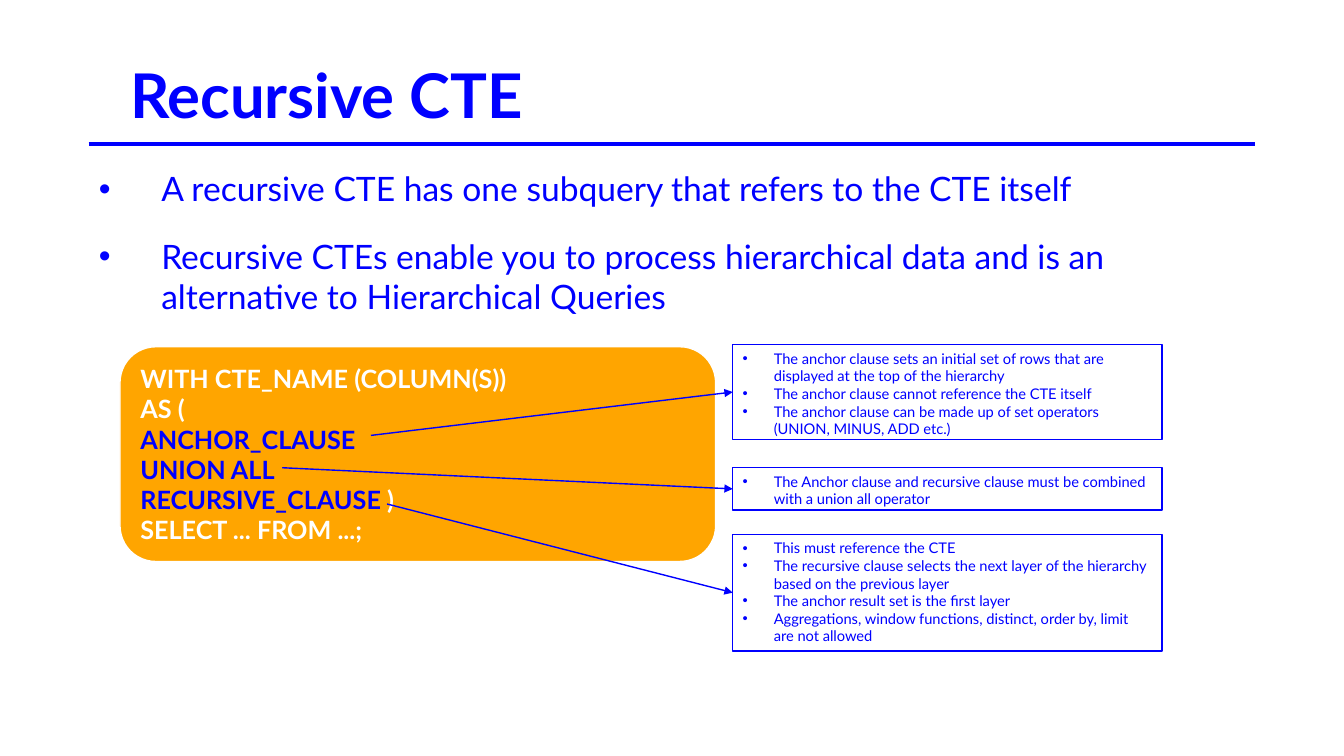
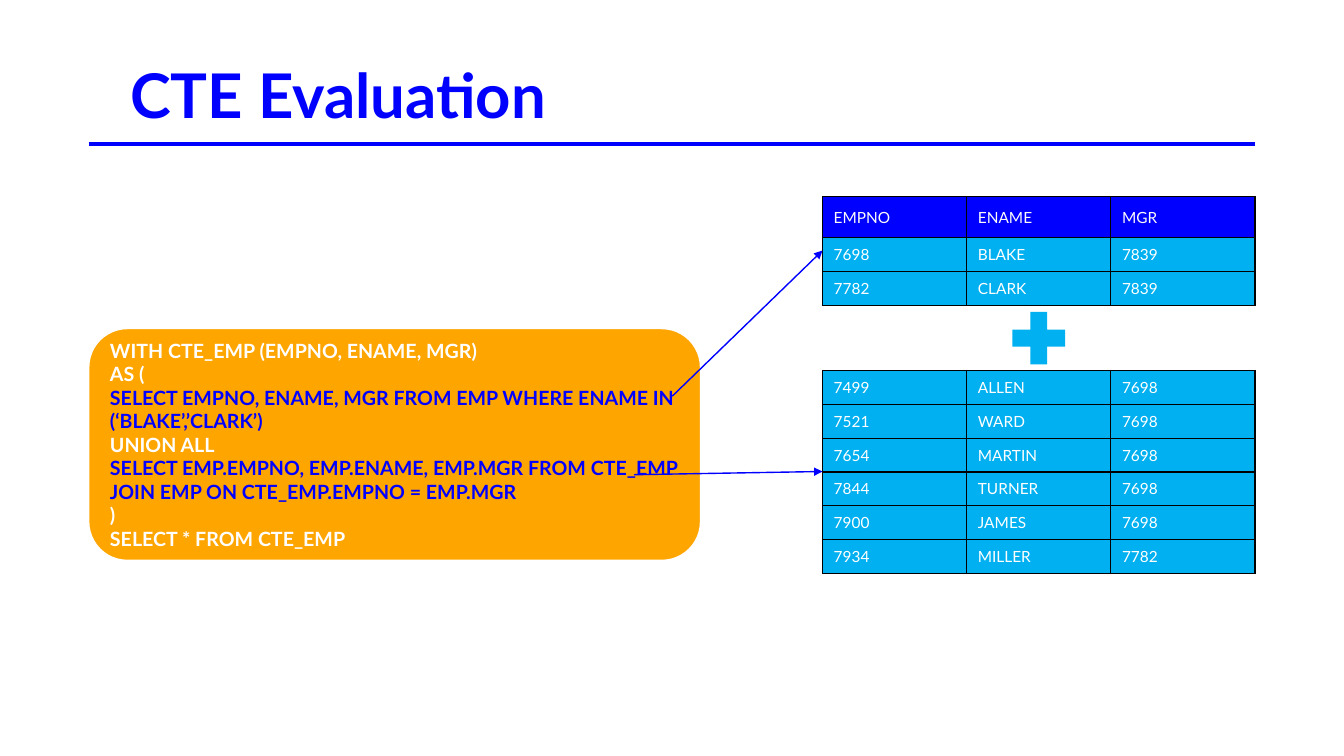
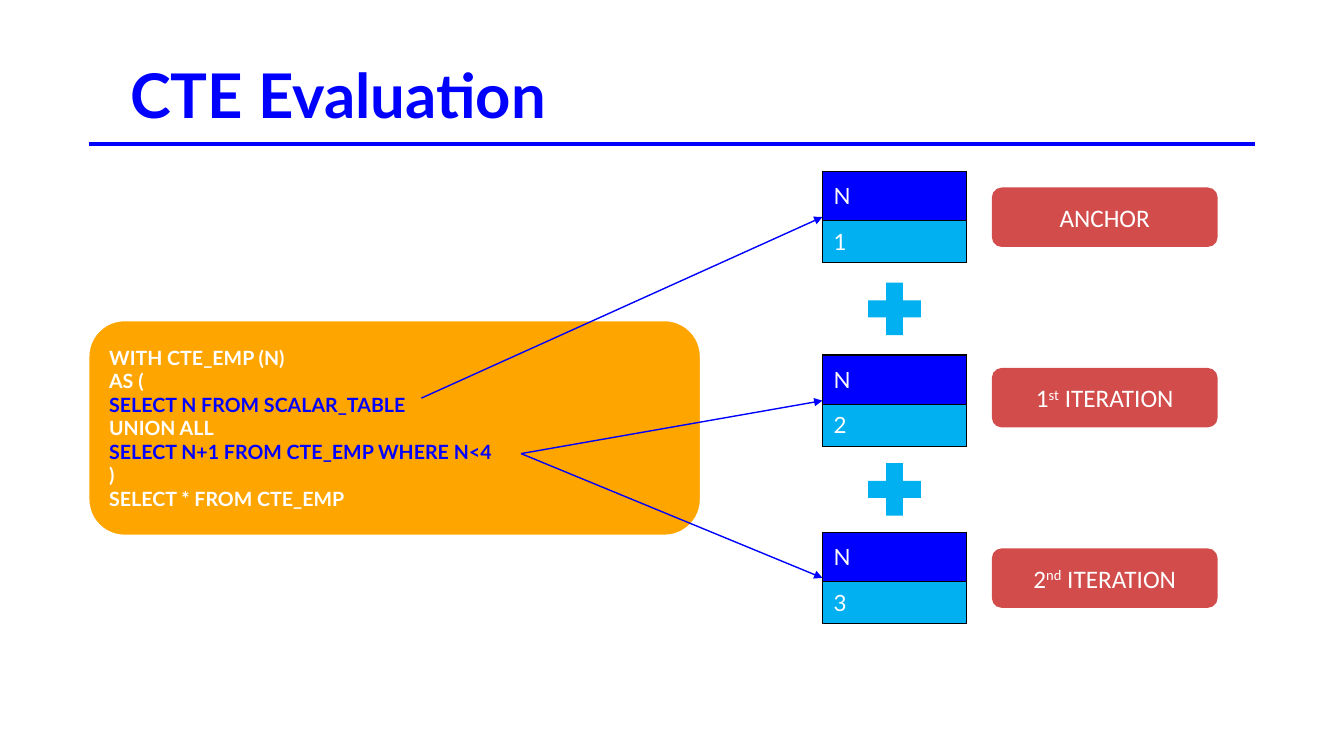
from dataclasses import dataclass
from typing import Optional, Sequence

from lxml import etree
from pptx import Presentation
from pptx.dml.color import RGBColor
from pptx.enum.shapes import MSO_CONNECTOR, MSO_SHAPE
from pptx.enum.text import MSO_ANCHOR, MSO_AUTO_SIZE, PP_ALIGN
from pptx.oxml.ns import qn
from pptx.shapes.autoshape import Shape
from pptx.shapes.connector import Connector
from pptx.slide import Slide
from pptx.table import _Cell
from pptx.text.text import TextFrame
from pptx.util import Pt

STRAIGHT = MSO_CONNECTOR.STRAIGHT
RECTANGLE, ROUNDED = MSO_SHAPE.RECTANGLE, MSO_SHAPE.ROUNDED_RECTANGLE
PLUS = MSO_SHAPE.MATH_PLUS
TOP, MIDDLE = MSO_ANCHOR.TOP, MSO_ANCHOR.MIDDLE
LEFT, CENTER = PP_ALIGN.LEFT, PP_ALIGN.CENTER
NO_AUTOFIT = MSO_AUTO_SIZE.NONE
TWO_CONTENT_LAYOUT, TITLE_ONLY_LAYOUT = 3, 5


# Shared look
@dataclass(frozen=True)
class Theme:
    blue: str = "0000FF"
    orange: str = "FFA500"
    cyan: str = "00B0F0"
    red: str = "C00000"
    white: str = "FFFFFF"
    off_white: str = "FCFBFA"
    black: str = "000000"
    font: str = "Lato"
    badge_font: str = "Calibri"
    title_size: float = 44
    body_size: float = 24
    syntax_size: float = 18
    query_size: float = 14
    note_size: float = 10.5
    rows_size: float = 11
    number_size: float = 16
    badge_size: float = 18
    line_height: float = 1.2


THEME = Theme()


@dataclass(frozen=True)
class Box:
    left: float
    top: float
    width: float
    height: float

    @property
    def left_middle(self) -> tuple[float, float]:
        return self.left, self.top + self.height / 2

    def lengths(self) -> tuple[Pt, Pt, Pt, Pt]:
        return Pt(self.left), Pt(self.top), Pt(self.width), Pt(self.height)


@dataclass(frozen=True)
class Piece:
    text: str
    color: Optional[str] = None
    superscript: bool = False


@dataclass(frozen=True)
class Note:
    box: Box
    lines: Sequence[str]
    arrow_start: tuple[float, float]


@dataclass(frozen=True)
class Iteration:
    table_top: float
    number: str
    label: Sequence[Piece]
    arrow_start: tuple[float, float]


Line = str | Sequence[Piece]

# Shared places
TITLE_BOX = Box(85.7, 36.7, 784, 55.4)
RULE_LEFT, RULE_RIGHT, RULE_TOP = 63.4, 896.4, 103
TABLE_LEFT, COLUMN_WIDTH = 587.5, 103
CELL_INSET, ROW_INSET = 8, 5.4
PLUS_SIZE = 51.1


# Text and colour
def color_of(code: str) -> RGBColor:
    return RGBColor.from_string(code)


def blue(text: str) -> list[Piece]:
    return [Piece(text, THEME.blue)]


def write_text(frame: TextFrame, lines: Sequence[Line], *, size: float,
               color: str, font: str = THEME.font, bold: bool = False,
               align: PP_ALIGN = LEFT, anchor: MSO_ANCHOR = TOP,
               bullet_indent: float = 0) -> None:
    frame.word_wrap = True
    frame.auto_size = NO_AUTOFIT
    frame.vertical_anchor = anchor
    for index, line in enumerate(lines):
        paragraph = frame.add_paragraph() if index else frame.paragraphs[0]
        paragraph.alignment = align
        paragraph.line_spacing = 1.0
        paragraph.space_before = Pt(0)
        if bullet_indent:
            properties = paragraph._p.get_or_add_pPr()
            properties.set("marL", str(Pt(bullet_indent)))
            properties.set("indent", str(-Pt(bullet_indent)))
            etree.SubElement(properties, qn("a:buFont"), typeface="Arial")
            etree.SubElement(properties, qn("a:buChar"), char="•")
        for piece in [Piece(line)] if isinstance(line, str) else line:
            run = paragraph.add_run()
            run.text = piece.text
            run.font.name = font
            run.font.size = Pt(size)
            run.font.bold = bold
            run.font.color.rgb = color_of(piece.color or color)
            if piece.superscript:
                run._r.get_or_add_rPr().set("baseline", "30000")


# Shapes
def add_box(slide: Slide, preset: MSO_SHAPE, box: Box, *,
            fill: Optional[str] = None, line: Optional[str] = None,
            opacity: int = 100) -> Shape:
    shape = slide.shapes.add_shape(preset, *box.lengths())
    shape.shadow.inherit = False
    if fill:
        shape.fill.solid()
        shape.fill.fore_color.rgb = color_of(fill)
    else:
        shape.fill.background()
    if opacity < 100:
        color_node = shape.element.spPr.find(f"{qn('a:solidFill')}/{qn('a:srgbClr')}")
        etree.SubElement(color_node, qn("a:alpha"), val=str(opacity * 1000))
    if line:
        shape.line.color.rgb = color_of(line)
        shape.line.width = Pt(1)
    else:
        shape.line.fill.background()
    return shape


def add_line(slide: Slide, start: tuple[float, float], end: tuple[float, float],
             *, width: float = 1) -> Connector:
    points = [Pt(value) for value in (*start, *end)]
    connector = slide.shapes.add_connector(STRAIGHT, *points)
    connector.line.width = Pt(width)
    connector.line.color.rgb = color_of(THEME.blue)
    etree.SubElement(connector.element.spPr, qn("a:effectLst"))
    return connector


def add_arrow(slide: Slide, start: tuple[float, float], target: Box) -> None:
    connector = add_line(slide, start, target.left_middle)
    outline = connector.element.spPr.find(qn("a:ln"))
    etree.SubElement(outline, qn("a:tailEnd"), type="triangle")


def add_code(slide: Slide, box: Box, lines: Sequence[Line], size: float) -> None:
    shape = add_box(slide, ROUNDED, box, fill=THEME.orange, line=THEME.white)
    write_text(shape.text_frame, lines, size=size, color=THEME.white,
               bold=True, anchor=MIDDLE)


def add_plus(slide: Slide, left: float, top: float) -> None:
    add_box(slide, PLUS, Box(left, top, PLUS_SIZE, PLUS_SIZE), fill=THEME.cyan)


# Tables
def format_cell(cell: _Cell, text: str, size: float, header: bool) -> None:
    properties = cell._tc.get_or_add_tcPr()
    for side in ("a:lnL", "a:lnR", "a:lnT", "a:lnB"):
        border = etree.SubElement(properties, qn(side), w=str(Pt(1)))
        border_fill = etree.SubElement(border, qn("a:solidFill"))
        etree.SubElement(border_fill, qn("a:srgbClr"), val=THEME.black)
    cell.fill.solid()
    cell.fill.fore_color.rgb = color_of(THEME.blue if header else THEME.cyan)
    cell.margin_left = cell.margin_right = Pt(CELL_INSET)
    cell.margin_top = cell.margin_bottom = Pt(CELL_INSET if header else ROW_INSET)
    cell.vertical_anchor = MIDDLE
    write_text(cell.text_frame, [text], size=size, anchor=MIDDLE,
               color=THEME.off_white if header else THEME.white)


def add_grid(slide: Slide, top: float, rows: Sequence[Sequence[str]], *,
             size: float, header: bool = True) -> Box:
    insets = [CELL_INSET if header and index == 0 else ROW_INSET
              for index in range(len(rows))]
    heights = [THEME.line_height * size + 2 * inset for inset in insets]
    box = Box(TABLE_LEFT, top, COLUMN_WIDTH * len(rows[0]), sum(heights))
    table = slide.shapes.add_table(len(rows), len(rows[0]), *box.lengths()).table
    table.first_row = header
    table.horz_banding = False
    for row_index, (values, height) in enumerate(zip(rows, heights)):
        table.rows[row_index].height = Pt(height)
        for column_index, value in enumerate(values):
            format_cell(table.cell(row_index, column_index), value, size,
                        header and row_index == 0)
    return box


# Slide frame: title placeholder and rule
def fill_placeholder(shape: Shape, box: Box, text: str, *, size: float,
                     bold: bool = False, bullet_indent: float = 0) -> None:
    shape.left, shape.top, shape.width, shape.height = box.lengths()
    shape.fill.solid()
    shape.fill.fore_color.rgb = color_of(THEME.white)
    write_text(shape.text_frame, [text], size=size, color=THEME.blue,
               bold=bold, bullet_indent=bullet_indent)


def start_slide(presentation: Presentation, layout: int, title: str) -> Slide:
    slide = presentation.slides.add_slide(presentation.slide_layouts[layout])
    fill_placeholder(slide.shapes.title, TITLE_BOX, title,
                     size=THEME.title_size, bold=True)
    add_line(slide, (RULE_LEFT, RULE_TOP), (RULE_RIGHT, RULE_TOP), width=3)
    return slide


# Slide 1: syntax of a recursive CTE
def build_syntax_slide(presentation: Presentation) -> None:
    slide = start_slide(presentation, TWO_CONTENT_LAYOUT, "Recursive CTE")
    points = [
        (Box(63.4, 116.6, 784, 49),
         "A recursive CTE has one subquery that refers to the CTE itself"),
        (Box(63.4, 164.9, 784, 67.7),
         "Recursive CTEs enable you to process hierarchical data and is an "
         "alternative to Hierarchical Queries"),
    ]
    for index, (box, text) in enumerate(points, start=1):
        fill_placeholder(slide.placeholders[index], box, text,
                         size=THEME.body_size, bullet_indent=44.6)
    add_code(slide, Box(85.7, 247.7, 425.5, 153.4), [
        "WITH CTE_NAME (COLUMN(S))",
        "AS (",
        blue("ANCHOR_CLAUSE"),
        blue("UNION ALL"),
        [Piece("RECURSIVE_CLAUSE ", THEME.blue), Piece(")")],
        "SELECT ... FROM ...;",
    ], THEME.syntax_size)

    note_left, note_width = 523.4, 306.7
    notes = [
        Note(Box(note_left, 246.2, note_width, 67.7), [
            "The anchor clause sets an initial set of rows that are displayed "
            "at the top of the hierarchy",
            "The anchor clause cannot reference the CTE itself",
            "The anchor clause can be made up of set operators "
            "(UNION, MINUS, ADD etc.)",
        ], (265, 311)),
        Note(Box(note_left, 334.1, note_width, 30.2), [
            "The Anchor clause and recursive clause must be combined with a "
            "union all operator",
        ], (201.6, 334.1)),
        Note(Box(note_left, 381.6, note_width, 83.5), [
            "This must reference the CTE",
            "The recursive clause selects the next layer of the hierarchy "
            "based on the previous layer",
            "The anchor result set is the first layer",
            "Aggregations, window functions, distinct, order by, limit are "
            "not allowed",
        ], (276.5, 360)),
    ]
    for note in notes:
        shape = add_box(slide, RECTANGLE, note.box, line=THEME.blue)
        write_text(shape.text_frame, note.lines, size=THEME.note_size,
                   color=THEME.blue, bullet_indent=22.3)
    for note in notes:
        add_arrow(slide, note.arrow_start, note.box)


# Slide 2: employees joined to their managers
def build_employee_slide(presentation: Presentation) -> None:
    slide = start_slide(presentation, TITLE_ONLY_LAYOUT, "CTE Evaluation")
    add_code(slide, Box(63.4, 234.7, 437, 165.6), [
        "WITH CTE_EMP (EMPNO, ENAME, MGR)",
        "AS (",
        blue("SELECT EMPNO, ENAME, MGR FROM EMP WHERE ENAME IN "
             "(‘BLAKE’,’CLARK’)"),
        "UNION ALL",
        blue("SELECT EMP.EMPNO, EMP.ENAME, EMP.MGR FROM CTE_EMP "
             "JOIN EMP ON CTE_EMP.EMPNO = EMP.MGR"),
        ")",
        "SELECT * FROM CTE_EMP",
    ], THEME.query_size)
    managers = add_grid(slide, 140.4, [
        ("EMPNO", "ENAME", "MGR"),
        ("7698", "BLAKE", "7839"),
        ("7782", "CLARK", "7839"),
    ], size=THEME.rows_size)
    reports = add_grid(slide, 264.8, [
        ("7499", "ALLEN", "7698"),
        ("7521", "WARD", "7698"),
        ("7654", "MARTIN", "7698"),
        ("7844", "TURNER", "7698"),
        ("7900", "JAMES", "7698"),
        ("7934", "MILLER", "7782"),
    ], size=THEME.rows_size, header=False)
    add_plus(slide, 716.4, 216)
    add_arrow(slide, (452.9, 339.1), reports)
    add_arrow(slide, (480.2, 283), managers)


# Slide 3: anchor and iterations
def build_iteration_slide(presentation: Presentation) -> None:
    slide = start_slide(presentation, TITLE_ONLY_LAYOUT, "CTE Evaluation")
    add_code(slide, Box(63.4, 229, 437, 153.4), [
        "WITH CTE_EMP (N)",
        "AS (",
        blue("SELECT N FROM SCALAR_TABLE"),
        "UNION ALL",
        blue("SELECT N+1 FROM CTE_EMP WHERE N<4"),
        ")",
        "SELECT * FROM CTE_EMP",
    ], THEME.query_size)

    anchor_query, recursive_query = (301, 284.4), (372.2, 324)
    step = 128.9
    iterations = [
        Iteration(122.4, "1", [Piece("ANCHOR")], anchor_query),
        Iteration(253.6, "2", [Piece("1"), Piece("st", superscript=True),
                               Piece(" ITERATION")], recursive_query),
        Iteration(380.2, "3", [Piece("2"), Piece("nd", superscript=True),
                               Piece(" ITERATION")], recursive_query),
    ]
    for index, iteration in enumerate(iterations):
        table_box = add_grid(slide, iteration.table_top,
                             [("N",), (iteration.number,)], size=THEME.number_size)
        if index:
            add_plus(slide, 613.4, 195.1 + (index - 1) * step)
        add_arrow(slide, iteration.arrow_start, table_box)
        badge = add_box(slide, ROUNDED, Box(708.5, 133.9 + index * step, 161.3, 42.5),
                        fill=THEME.red, opacity=70)
        write_text(badge.text_frame, [iteration.label], size=THEME.badge_size,
                   color=THEME.white, font=THEME.badge_font, align=CENTER,
                   anchor=MIDDLE)


def main() -> None:
    presentation = Presentation()
    presentation.slide_width, presentation.slide_height = Pt(960), Pt(540)
    build_syntax_slide(presentation)
    build_employee_slide(presentation)
    build_iteration_slide(presentation)
    presentation.save("out.pptx")


main()
